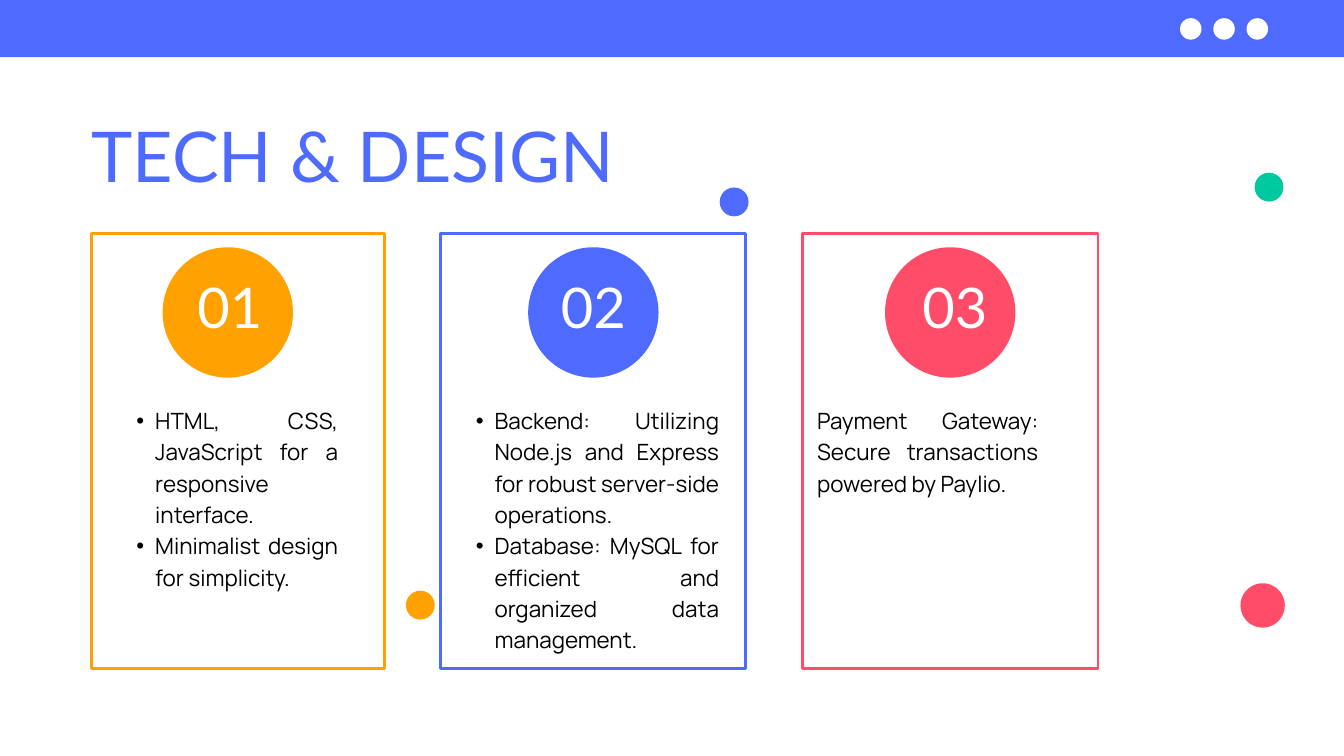
from dataclasses import dataclass

from lxml import etree
from pptx import Presentation
from pptx import util as u
from pptx.dml.color import RGBColor
from pptx.enum import shapes, text
from pptx.oxml.ns import qn

COLOURS = {
    "blue": "4E6AFF",
    "orange": "FFA100",
    "red": "FF4D69",
    "green": "00C99F",
    "white": "FFFFFF",
    "black": "000000",
}
CARD_TOP, CARD_HEIGHT = 3.47, 6.48
BADGE_TOP, BADGE_SIZE = 3.68, 1.94
NUMBER_TOP, NUMBER_WIDTH, NUMBER_HEIGHT = 4.44, 1.46, 0.71
BODY_TOP = 5.99


@dataclass(frozen=True)
class Style:
    font: str
    size: float
    colour: str
    leading: float
    align: text.PP_ALIGN
    bulleted: bool = False


@dataclass(frozen=True)
class Card:
    number: str
    colour: str
    left: float
    width: float
    badge_left: float
    number_left: float
    body_left: float
    body_width: float
    body_height: float
    lines: tuple[str, ...]


@dataclass(frozen=True)
class Dot:
    left: float
    top: float
    size: float
    colour: str


TITLE = Style("Lato", 75, "blue", 61.5, text.PP_ALIGN.LEFT)
NUMBER = Style("Lato", 60, "white", 43.8, text.PP_ALIGN.CENTER)
BODY = Style("Manrope", 24, "black", 33.6, text.PP_ALIGN.JUSTIFY)
BULLETS = Style("Manrope", 24, "black", 33.6, text.PP_ALIGN.JUSTIFY, True)

CARDS = (
    Card("01", "orange", 1.36, 4.36, 2.42, 2.69, 1.74, 3.29, 3.67, (
        "HTML, CSS, JavaScript for a responsive interface.",
        "Minimalist design for simplicity.",
    )),
    Card("02", "blue", 6.56, 4.54, 7.86, 8.1, 6.79, 3.91, 4.13, (
        "Backend: Utilizing Node.js and Express for robust server-side operations.",
        "Database: MySQL for efficient and organized data management.",
    )),
    Card("03", "red", 11.94, 4.4, 13.17, 13.48, 12.16, 3.29, 1.84, (
        "Payment Gateway: Secure transactions powered by Paylio.",
    )),
)
WINDOW_DOTS = tuple(Dot(17.56 + 0.495 * i, 0.27, 0.32, "white") for i in range(3))
ACCENT_DOTS = (
    Dot(18.67, 2.57, 0.43, "green"),
    Dot(18.46, 8.68, 0.66, "red"),
    Dot(10.71, 2.79, 0.43, "blue"),
    Dot(6.04, 8.79, 0.43, "orange"),
)


def rgb(name: str) -> RGBColor:
    return RGBColor.from_string(COLOURS[name])


def place(shape, left: float, top: float, width: float, height: float) -> None:
    shape.left, shape.top = u.Inches(left), u.Inches(top)
    shape.width, shape.height = u.Inches(width), u.Inches(height)


def draw_shape(page, kind, left: float, top: float, width: float, height: float,
               fill: str, outline: str | None = None) -> None:
    shape = page.shapes.add_shape(
        kind, u.Inches(left), u.Inches(top), u.Inches(width), u.Inches(height))
    shape.shadow.inherit = False
    shape.fill.solid()
    shape.fill.fore_color.rgb = rgb(fill)
    if outline:
        shape.line.color.rgb = rgb(outline)
        shape.line.width = u.Pt(3)
    else:
        shape.line.fill.background()


def draw_dot(page, dot: Dot) -> None:
    draw_shape(page, shapes.MSO_SHAPE.OVAL, dot.left, dot.top, dot.size, dot.size, dot.colour)


def add_bullet(para) -> None:
    properties = para._p.get_or_add_pPr()
    properties.set("marL", str(u.Inches(0.57)))
    properties.set("indent", str(u.Inches(-0.28)))
    etree.SubElement(properties, qn("a:buFont"), typeface="Arial")
    etree.SubElement(properties, qn("a:buChar"), char="•")


def write(box, lines: tuple[str, ...], style: Style) -> None:
    frame = box.text_frame
    frame.word_wrap = True
    frame.auto_size = text.MSO_AUTO_SIZE.NONE
    frame.vertical_anchor = text.MSO_ANCHOR.TOP
    frame.margin_left = frame.margin_right = frame.margin_top = frame.margin_bottom = 0
    for index, line in enumerate(lines):
        para = frame.add_paragraph() if index else frame.paragraphs[0]
        if style.bulleted:
            add_bullet(para)
        para.alignment = style.align
        para.line_spacing = u.Pt(style.leading)
        para.space_before = u.Pt(0)
        span = para.add_run()
        span.text = line
        span.font.name = style.font
        span.font.size = u.Pt(style.size)
        span.font.color.rgb = rgb(style.colour)


def add_label(page, left: float, top: float, width: float, height: float,
              lines: tuple[str, ...], style: Style) -> None:
    box = page.shapes.add_textbox(
        u.Inches(left), u.Inches(top), u.Inches(width), u.Inches(height))
    write(box, lines, style)


def fill_placeholder(page, box, left: float, top: float, width: float, height: float,
                     lines: tuple[str, ...], style: Style) -> None:
    page.shapes._spTree.append(box._element)
    place(box, left, top, width, height)
    write(box, lines, style)


def main() -> None:
    deck = Presentation()
    deck.slide_width, deck.slide_height = u.Inches(20), u.Inches(11.25)
    page = deck.slides.add_slide(deck.slide_layouts.get_by_name("Two Content"))
    title, *lists = page.placeholders

    draw_shape(page, shapes.MSO_SHAPE.RECTANGLE, -0.21, -0.31, 20.41, 1.16, "blue")
    for dot in WINDOW_DOTS:
        draw_dot(page, dot)
    for card in CARDS:
        draw_shape(page, shapes.MSO_SHAPE.RECTANGLE, card.left, CARD_TOP,
                   card.width, CARD_HEIGHT, "white", card.colour)
        draw_dot(page, Dot(card.badge_left, BADGE_TOP, BADGE_SIZE, card.colour))
    for dot in ACCENT_DOTS:
        draw_dot(page, dot)

    fill_placeholder(page, title, 1.36, 2.07, 9.35, 0.96, ("TECH & DESIGN",), TITLE)
    for card in CARDS:
        add_label(page, card.number_left, NUMBER_TOP, NUMBER_WIDTH, NUMBER_HEIGHT,
                  (card.number,), NUMBER)
        area = (card.body_left, BODY_TOP, card.body_width, card.body_height)
        if len(card.lines) > 1:
            fill_placeholder(page, lists.pop(0), *area, card.lines, BULLETS)
        else:
            add_label(page, *area, card.lines, BODY)

    deck.save("out.pptx")


if __name__ == "__main__":
    main()
